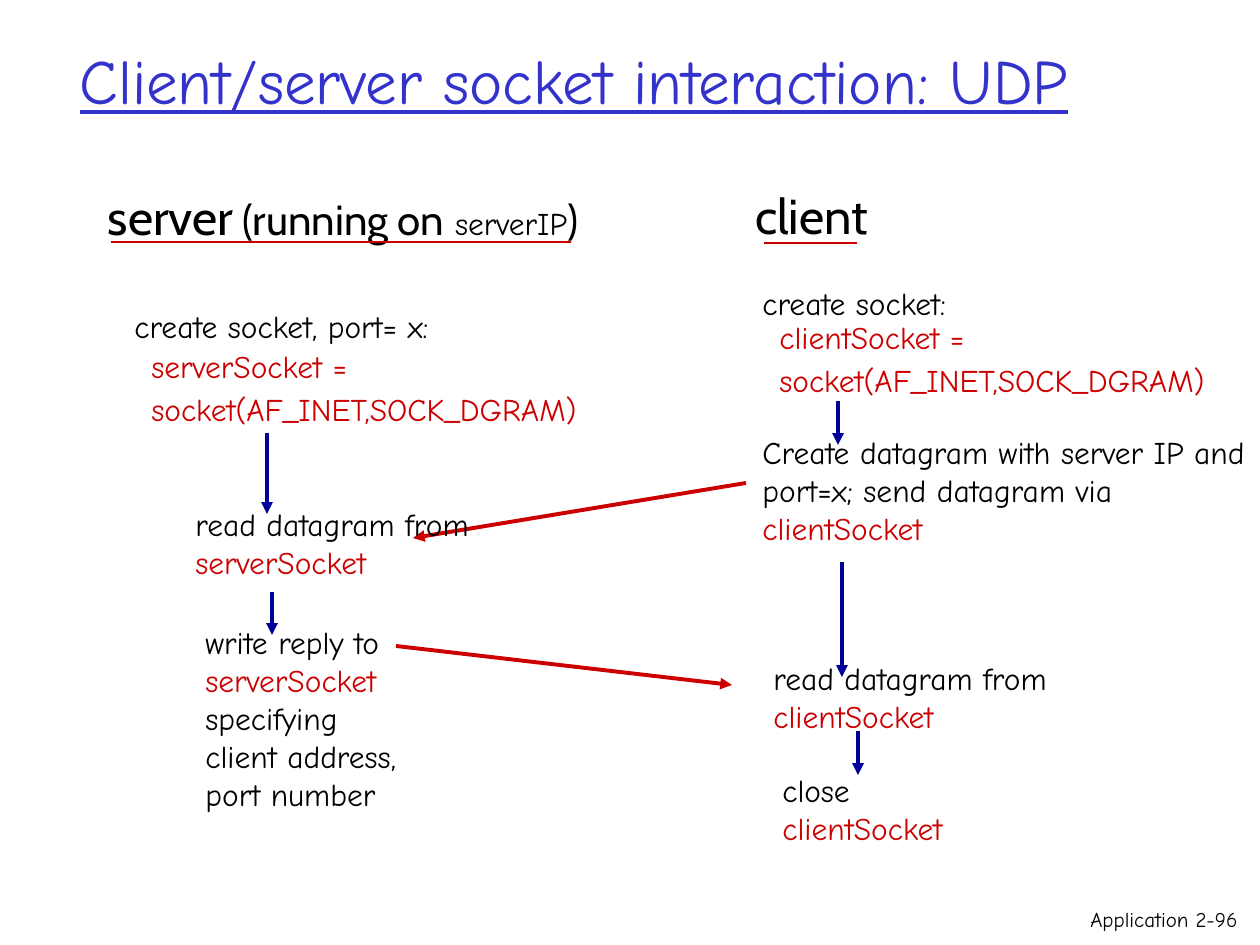
"""Build the slide on client/server socket interaction over UDP."""
from lxml.etree import SubElement
from pptx import Presentation
from pptx.dml.color import RGBColor
from pptx.enum.shapes import MSO_CONNECTOR
from pptx.enum.text import MSO_ANCHOR, MSO_AUTO_SIZE, PP_ALIGN
from pptx.oxml.ns import qn
from pptx.util import Pt

EMU_PER_PX = 914400 / 126
HAND, SANS = "Comic Neue", "Cabin"
BLACK, RED, NAVY, BLUE = "000000", "CC0000", "000099", "3333CC"

TITLE = ("Client/server socket interaction: UDP", (67, 0, 1071, 158))
FOOTER = ("Application 2-96", (1050, 900, 200, 39))

HEADINGS = [
    ((69, 180, 548, 72), [("server", 28, SANS), (" (running on", 24, SANS),
                          (" serverIP", 18, HAND), (")", 24, SANS)]),
    ((737, 179, 149, 72), [("client", 28, SANS)]),
]

STEPS = [
    ((122, 301, 321, 50), [("create socket, port= x:", BLACK)]),
    ((183, 499, 301, 88), [("read datagram from", BLACK), ("serverSocket", RED)]),
    ((193, 617, 217, 202), [("write reply to", BLACK), ("serverSocket", RED),
                            ("specifying", BLACK), ("client address,", BLACK),
                            ("port number", BLACK)]),
    ((750, 278, 210, 50), [("create socket:", BLACK)]),
    ((750, 427, 510, 126), [("Create datagram with server IP and", BLACK),
                            ("port=x; send datagram via", BLACK),
                            ("clientSocket", RED)]),
    ((761, 653, 301, 88), [("read datagram from", BLACK), ("clientSocket", RED)]),
    ((770, 765, 185, 88), [("close", BLACK), ("clientSocket", RED)]),
]

CALLS = [
    ((139, 343, 454, 91), ["serverSocket =", "socket(AF_INET,SOCK_DGRAM)"]),
    ((767, 314, 454, 91), ["clientSocket =", "socket(AF_INET,SOCK_DGRAM)"]),
]

FLOWS = [
    (267, 433, 267, 514), (272, 592, 272, 635), (838, 401, 838, 445),
    (842, 562, 842, 677), (858, 731, 858, 775),
]
MESSAGES = [(746, 483, 413, 538), (396, 646, 732, 685)]
UNDERLINES = [(111, 242, 571, 242), (764, 243, 857, 243)]


def px(*values):
    return [round(value * EMU_PER_PX) for value in values]


def color(value):
    return RGBColor.from_string(value)


def add_span(para, text, size=18, name=HAND, fill=BLACK, underline=None):
    span = para.add_run()
    span.text = text
    span.font.size = Pt(size)
    span.font.name = name
    span.font.color.rgb = color(fill)
    span.font.underline = underline


def add_box(page, place, lines, align=PP_ALIGN.LEFT, wrap=False,
            anchor=MSO_ANCHOR.MIDDLE, leading=None, gap=0):
    """Add a text box whose lines are lists of span formats."""
    frame = page.shapes.add_textbox(*px(*place)).text_frame
    frame.word_wrap = wrap
    frame.vertical_anchor = anchor
    for index, spans in enumerate(lines):
        para = frame.add_paragraph() if index else frame.paragraphs[0]
        para.alignment = align
        if leading:
            para.line_spacing = Pt(leading)
        if index and gap:
            para.space_before = Pt(gap)
        for span in spans:
            add_span(para, **span)


def add_line(page, ends, fill, width, arrow=True):
    line = page.shapes.add_connector(MSO_CONNECTOR.STRAIGHT, *px(*ends))
    line.line.color.rgb = color(fill)
    line.line.width = Pt(width)
    if arrow:
        SubElement(line.line._get_or_add_ln(), qn("a:tailEnd"), type="triangle")
    SubElement(line._element.spPr, qn("a:effectLst"))


def add_title(page):
    text, place = TITLE
    title = page.shapes.title
    title.left, title.top, title.width, title.height = px(*place)
    frame = title.text_frame
    frame.auto_size = MSO_AUTO_SIZE.NONE
    frame.vertical_anchor = MSO_ANCHOR.MIDDLE
    para = frame.paragraphs[0]
    para.alignment = PP_ALIGN.LEFT
    add_span(para, text, size=36, fill=BLUE, underline=True)


def main():
    deck = Presentation()
    deck.slide_width, deck.slide_height = px(1260, 945)
    page = deck.slides.add_slide(deck.slide_layouts[5])
    add_title(page)
    for ends in FLOWS:
        add_line(page, ends, NAVY, 2.25)
    for ends in MESSAGES:
        add_line(page, ends, RED, 2.25)
    for place, lines in STEPS:
        add_box(page, place, [[dict(text=text, fill=fill)] for text, fill in lines])
    for place, lines in CALLS:
        add_box(page, place, [[dict(text=text, fill=RED)] for text in lines],
                leading=20, gap=4.5)
    for place, spans in HEADINGS:
        add_box(page, place, [[dict(text=text, size=size, name=name)
                               for text, size, name in spans]],
                align=PP_ALIGN.CENTER)
    for ends in UNDERLINES:
        add_line(page, ends, RED, 1.5, arrow=False)
    text, place = FOOTER
    add_box(page, place, [[dict(text=text, size=12)]], align=PP_ALIGN.RIGHT,
            wrap=True, anchor=MSO_ANCHOR.TOP)
    deck.save("out.pptx")


if __name__ == "__main__":
    main()
